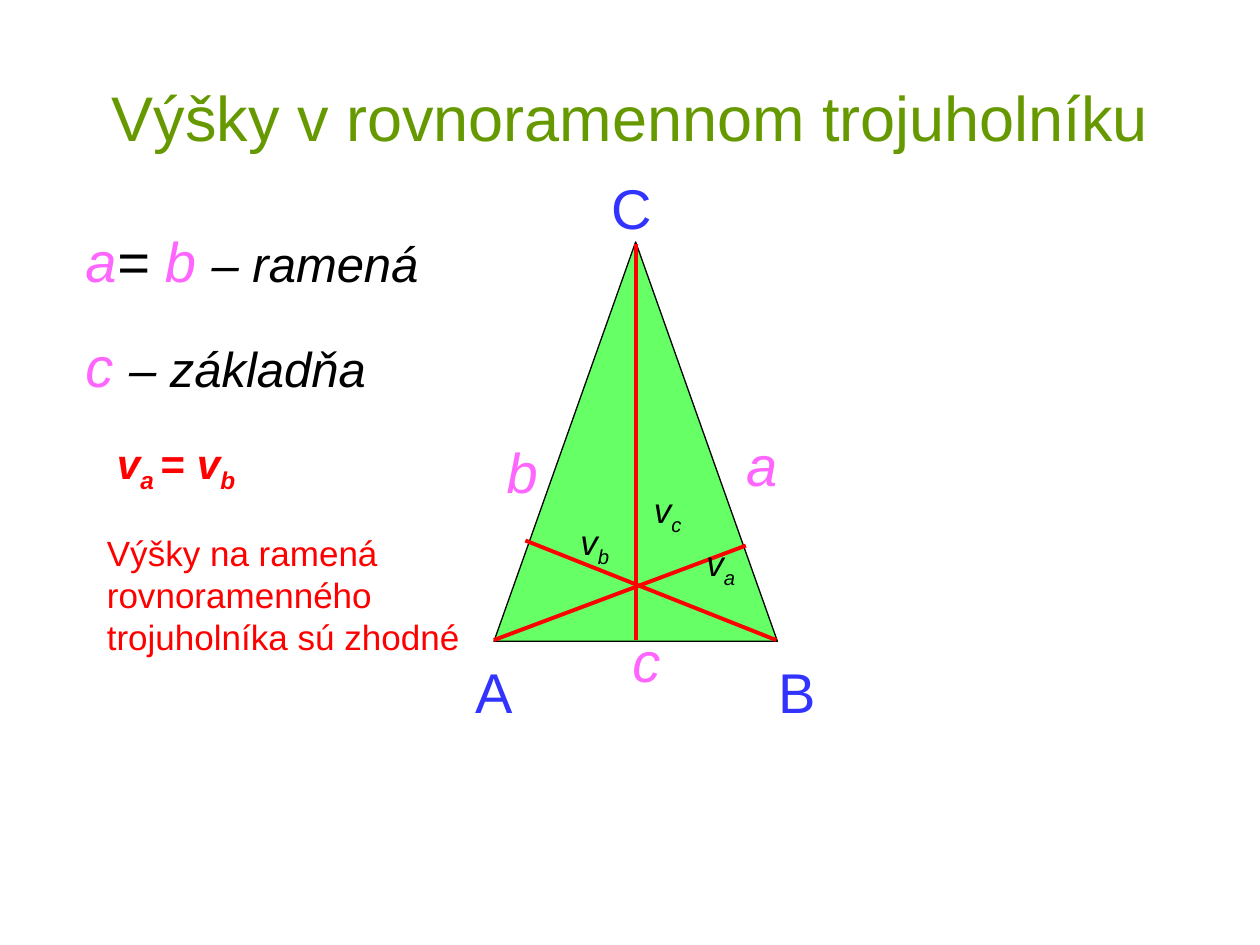
from lxml.etree import SubElement
from pptx import Presentation
from pptx.dml.color import RGBColor
from pptx.enum.shapes import MSO_CONNECTOR, MSO_SHAPE
from pptx.enum.text import MSO_ANCHOR, MSO_AUTO_SIZE, PP_ALIGN
from pptx.oxml.ns import qn
from pptx.util import Inches, Pt

COLORS = {"title": "669900", "fill": "66FF66", "vertex": "3333FF",
          "side": "FF66FF", "height": "FF0000", "text": "000000"}
SUB = "-25000"


def rgb(name):
    """Return the named colour."""
    return RGBColor.from_string(COLORS[name])


def add_run(p, text, color, size, base=None, **style):
    """Add one formatted run, lowered when base is given."""
    r = p.add_run()
    r.text = text
    for key, value in {"name": "Arial", "size": Pt(size), **style}.items():
        setattr(r.font, key, value)
    r.font.color.rgb = rgb(color)
    if base:
        r._r.get_or_add_rPr().set("baseline", base)


def add_text(s, box, runs, color, size, align=PP_ALIGN.LEFT, wrap=True, **style):
    """Add a text box whose runs are (text, overrides) pairs."""
    tf = s.shapes.add_textbox(*map(Inches, box)).text_frame
    tf.word_wrap = wrap
    tf.auto_size = MSO_AUTO_SIZE.SHAPE_TO_FIT_TEXT
    p = tf.paragraphs[0]
    p.alignment = align
    for text, changes in runs:
        add_run(p, text, **{"color": color, "size": size, **style, **changes})


def add_title(s, box, text):
    """Fill and place the title placeholder."""
    sp = s.shapes.title
    sp.left, sp.top, sp.width, sp.height = map(Inches, box)
    tf = sp.text_frame
    tf.vertical_anchor = MSO_ANCHOR.MIDDLE
    p = tf.paragraphs[0]
    p.alignment = PP_ALIGN.CENTER
    add_run(p, text, "title", 36)


def add_triangle(s, box):
    """Draw the isosceles triangle with its vertices, sides and heights."""
    x, y, w, h = box
    sp = s.shapes.add_shape(MSO_SHAPE.FLOWCHART_EXTRACT, *map(Inches, box))
    sp.shadow.inherit = False
    sp.fill.solid()
    sp.fill.fore_color.rgb = rgb("fill")
    sp.line.color.rgb = rgb("text")
    sp.line.width = Pt(0.75)

    vertices = [("A", -0.25, 3.25, 0.5), ("B", 2.16, 3.25, 0.5), ("C", 0.83, -0.59, 0.52)]
    sides = [("a", 1.9, 1.45, 0.45), ("b", 0, 1.5, 0.45), ("c", 1, 3, 0.42)]
    for labels, color, italic in ((vertices, "vertex", False), (sides, "side", True)):
        for text, dx, dy, width in labels:
            add_text(s, (x + dx, y + dy, width, 0.63), [(text, {})], color, 32,
                     PP_ALIGN.CENTER, False, italic=italic)

    base = h - 0.01
    for x1, y1, x2, y2 in ((w / 2, 0.02, w / 2, base), (0, base, 2, 2.41),
                           (w - 0.01, base, 0.25, 2.37)):
        line = s.shapes.add_connector(MSO_CONNECTOR.STRAIGHT, Inches(x + x1), Inches(y + y1),
                                      Inches(x + x2), Inches(y + y2))
        line.line.color.rgb = rgb("height")
        line.line.width = Pt(2.25)
        SubElement(line._element.spPr, qn("a:effectLst"))

    for side, dx, dy in (("c", 1.16, 1.91), ("b", 0.58, 2.16), ("a", 1.58, 2.33)):
        add_text(s, (x + dx, y + dy, 0.44, 0.43), [("v", {}), (side, {"base": SUB})],
                 "text", 20, PP_ALIGN.CENTER, False, italic=True)


def add_notes_column(s, box):
    """Write the explanations in the left column."""
    x, y, w, _ = box
    word = {"color": "text", "size": 28}
    add_text(s, (x, y, w, 0.63),
             [("a", {}), ("=", {"color": "text"}), (" b ", {}), ("– ramená", word)],
             "side", 32, italic=True)
    add_text(s, (x, y + 0.83, 3.45, 0.63), [("c ", {}), ("– základňa", word)],
             "side", 32, italic=True)
    add_text(s, (x + 0.25, y + 1.67, 2.25, 0.9),
             [("v", {}), ("a ", {"base": SUB}), ("= ", {"italic": False}),
              ("v", {}), ("b", {"base": SUB})],
             "height", 24, bold=True, italic=True)
    add_text(s, (x + 0.17, y + 2.42, 3.17, 1.1),
             [("Výšky na ramená rovnoramenného trojuholníka sú zhodné", {})], "height", 20)


def main():
    """Build and save the slide."""
    prs = Presentation()
    prs.slide_width, prs.slide_height = Inches(10), Inches(7.5)
    s = prs.slides.add_slide(prs.slide_layouts[5])
    add_title(s, (0.5, 0.3, 9, 1.25), "Výšky v rovnoramennom trojuholníku")
    add_triangle(s, (3.92, 1.92, 2.25, 3.17))
    add_notes_column(s, (0.58, 1.75, 4.33, 3.52))
    prs.save("out.pptx")


if __name__ == "__main__":
    main()
